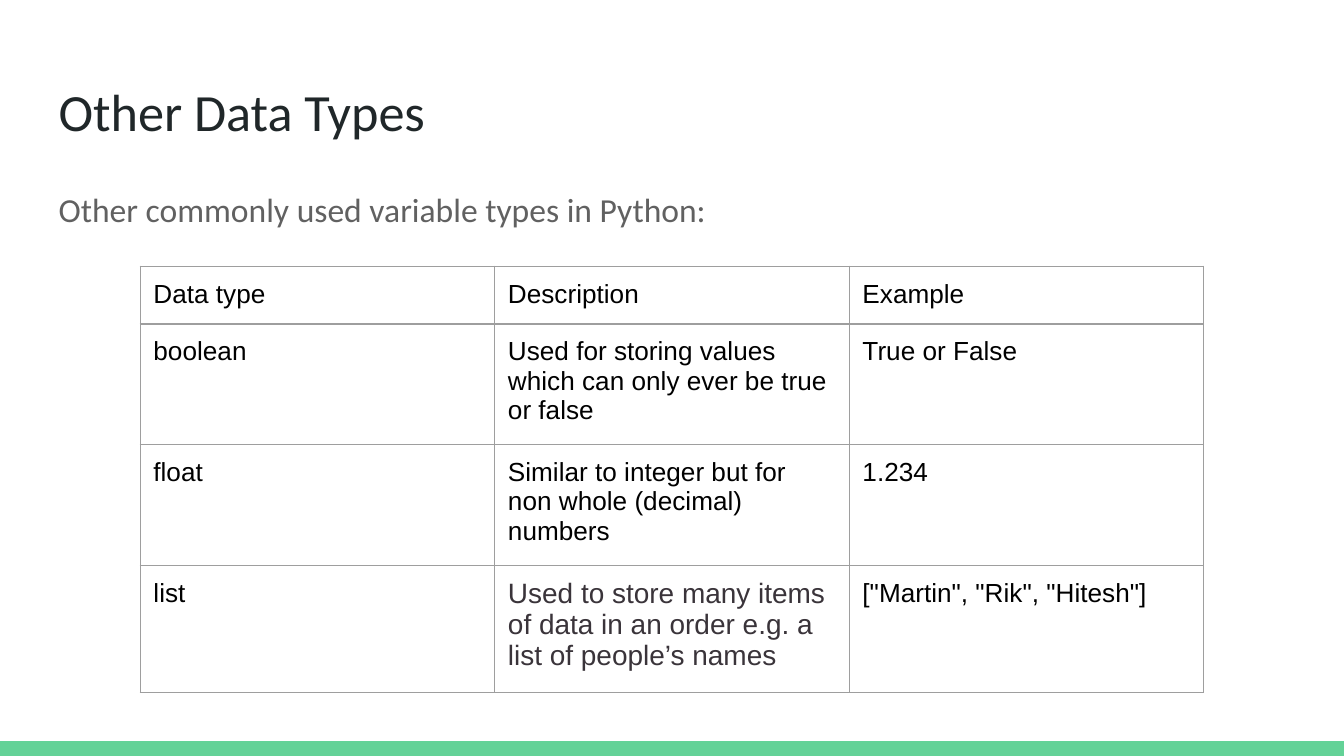
from lxml.etree import SubElement
from pptx import Presentation
from pptx.dml.color import RGBColor as Rgb
from pptx.enum.shapes import MSO_SHAPE as Shape
from pptx.enum.text import MSO_ANCHOR as Anchor
from pptx.oxml.ns import qn
from pptx.util import Cm, Pt

COLORS = {
    "paper": "FFFFFF",
    "accent": "63D297",
    "title": "202729",
    "intro": "616161",
    "cell": "000000",
    "list_note": "3A343A",
    "border": "9E9E9E",
}
SLIDE_WIDTH, SLIDE_HEIGHT = 25.4, 14.29
LEFT, CONTENT_WIDTH = 0.86, 23.67
BAR_HEIGHT = 0.28
INSET = 0.25

DATA_TYPES = [
    ["Data type", "Description", "Example"],
    ["boolean", "Used for storing values which can only ever be true or false",
     "True or False"],
    ["float", "Similar to integer but for non whole (decimal) numbers", "1.234"],
    ["list", "Used to store many items of data in an order e.g. a list of people’s names",
     '["Martin", "Rik", "Hitesh"]'],
]
# Cells whose text departs from the table's format, by row and column
SPECIAL_CELLS = {(3, 1): {"size": 15, "color": "list_note"}}


def rgb(name):
    return Rgb.from_string(COLORS[name])


def write(frame, text, font="Arial", size=14, color="cell", spacing=1.0):
    paragraph = frame.paragraphs[0]
    paragraph.line_spacing = spacing
    run = paragraph.add_run()
    run.text = text
    run.font.name = font
    run.font.size = Pt(size)
    run.font.color.rgb = rgb(color)


def set_margins(target):
    target.margin_left = target.margin_right = Cm(INSET)
    target.margin_top = target.margin_bottom = Cm(INSET)


class DataTypesSlide:
    def __init__(self, slide):
        self.slide = slide
        self.border_color = COLORS["border"]
        self.border_width = Pt(0.75)
        slide.background.fill.solid()
        slide.background.fill.fore_color.rgb = rgb("paper")

    def bar(self, left, top, width, height, color):
        bar = self.slide.shapes.add_shape(
            Shape.RECTANGLE, Cm(left), Cm(top), Cm(width), Cm(height))
        bar.shadow.inherit = False
        bar.fill.solid()
        bar.fill.fore_color.rgb = rgb(color)
        bar.line.fill.background()

    def text(self, left, top, width, height, text, **text_format):
        frame = self.slide.shapes.add_textbox(
            Cm(left), Cm(top), Cm(width), Cm(height)).text_frame
        frame.word_wrap = True
        frame.vertical_anchor = Anchor.TOP
        set_margins(frame)
        write(frame, text, **text_format)

    def table(self, left, top, column_width, row_height, rows, special):
        row_count, column_count = len(rows), len(rows[0])
        table = self.slide.shapes.add_table(
            row_count, column_count, Cm(left), Cm(top),
            Cm(column_width * column_count), Cm(row_height * row_count)).table
        table.first_row = table.horz_banding = False
        for column in table.columns:
            column.width = Cm(column_width)
        for r, row in enumerate(rows):
            table.rows[r].height = Cm(row_height)
            for c, text in enumerate(row):
                cell = table.cell(r, c)
                set_margins(cell)
                self.borders(cell)
                cell.fill.solid()
                cell.fill.fore_color.rgb = rgb("paper")
                write(cell.text_frame, text, **special.get((r, c), {}))

    def borders(self, cell):
        properties = cell._tc.get_or_add_tcPr()
        for side in ("lnL", "lnR", "lnT", "lnB"):
            line = SubElement(properties, qn(f"a:{side}"), w=str(self.border_width))
            fill = SubElement(line, qn("a:solidFill"))
            SubElement(fill, qn("a:srgbClr"), val=self.border_color)


def main():
    deck = Presentation()
    deck.slide_width, deck.slide_height = Cm(SLIDE_WIDTH), Cm(SLIDE_HEIGHT)
    page = DataTypesSlide(deck.slides.add_slide(deck.slide_layouts[6]))

    # Accent strip along the bottom edge
    page.bar(0, SLIDE_HEIGHT - BAR_HEIGHT, SLIDE_WIDTH, BAR_HEIGHT, "accent")

    # Heading and introduction
    page.text(LEFT, 1.24, CONTENT_WIDTH, 1.6, "Other Data Types",
              font="Calibri", size=28, color="title")
    page.text(LEFT, 3.2, CONTENT_WIDTH, 9.5,
              "Other commonly used variable types in Python:",
              font="Calibri", size=18, color="intro", spacing=1.15)

    # Data types; rows grow to fit their text
    page.table(2.65, 5.03, 6.7, 1.07, DATA_TYPES, SPECIAL_CELLS)

    deck.save("out.pptx")


if __name__ == "__main__":
    main()
